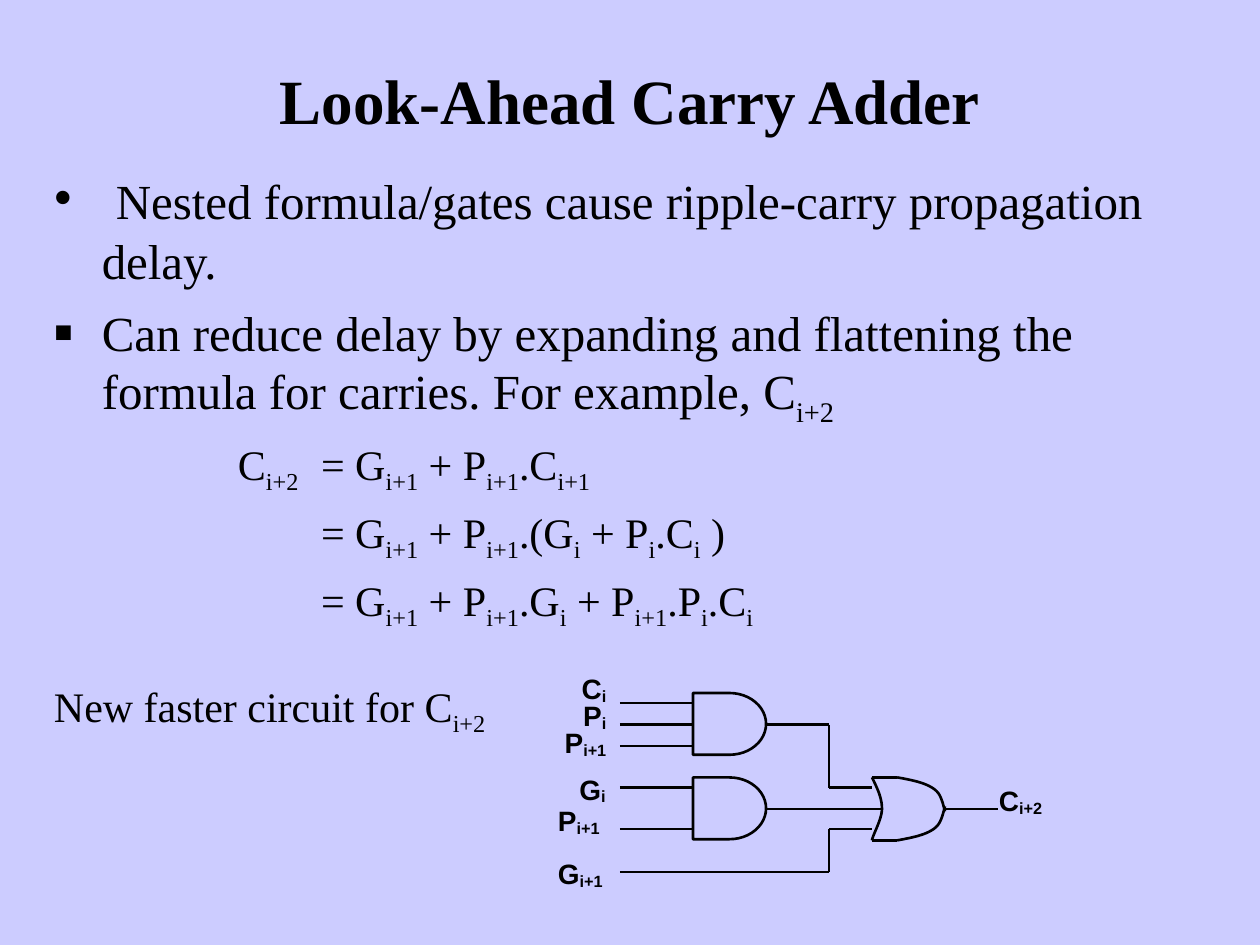
"""Build the look-ahead carry adder slide with its formulas and gate circuit."""
from dataclasses import dataclass

from lxml.etree import SubElement
from pptx import Presentation
from pptx.dml.color import RGBColor
from pptx.enum.shapes import MSO_CONNECTOR, MSO_SHAPE
from pptx.enum.text import MSO_ANCHOR, MSO_AUTO_SIZE, PP_ALIGN
from pptx.oxml.ns import qn
from pptx.util import Inches, Pt

COLORS = {"background": "CCCCFF", "ink": "000000"}
SERIF = "Times New Roman"
LABEL_FONT = {"name": "Arial", "size": Pt(16), "bold": True}
GATE_LINE, WIRE_LINE = 1.5, 1.25
GATE_W, GATE_H = 0.58, 0.49
OR_MID = 6.42


@dataclass(frozen=True)
class Line:
    text: str
    size: int
    before: int
    margin: float = 0.38
    indent: float = -0.38
    bullet: str = ""
    bullet_size: int = 100


@dataclass(frozen=True)
class Label:
    lines: tuple[str, ...]
    box: tuple[float, float, float, float]
    align: PP_ALIGN = PP_ALIGN.LEFT
    spacing: float = 1.0


@dataclass(frozen=True)
class Wire:
    x1: float
    y1: float
    x2: float
    y2: float
    width: float = WIRE_LINE


BODY = [
    Line("Nested formula/gates cause ripple-carry propagation delay.", 28, 0, bullet="•"),
    Line("Can reduce delay by expanding and flattening the formula for carries. "
         "For example, C_{i+2}", 28, 7, bullet="▪", bullet_size=120),
    Line("C_{i+2}\t= G_{i+1} + P_{i+1}.C_{i+1}", 24, 6, 2.12, -0.66),
    Line("= G_{i+1} + P_{i+1}.(G_{i} + P_{i}.C_{i} )", 24, 6, 2.12, 0),
    Line("= G_{i+1} + P_{i+1}.G_{i} + P_{i+1}.P_{i}.C_{i}", 24, 6, 2.12, 0),
    Line("New faster circuit for C_{i+2}", 24, 28),
]

LABELS = [
    Label(("C_{i}", "P_{i}", "P_{i+1}"), (4.33, 5.33, 0.58, 0.75), PP_ALIGN.RIGHT, 0.8),
    Label(("G_{i}",), (4.5, 6.08, 0.42, 0.3)),
    Label(("P_{i+1}",), (4.33, 6.33, 0.58, 0.37)),
    Label(("G_{i+1}",), (4.33, 6.75, 0.67, 0.3)),
    Label(("C_{i+2}",), (7.83, 6.17, 0.68, 0.39)),
]

AND_GATES = [(5.5, 5.5), (5.5, 6.17)]
INPUT_WIRES = [Wire(4.92, y, 5.5, y) for y in (5.58, 5.75, 5.92, 6.25, 6.58)]
WIRES = INPUT_WIRES + [
    Wire(6.08, 5.75, 6.58, 5.75),
    Wire(6.58, 5.75, 6.58, 6.25),
    Wire(6.58, 6.25, 6.92, 6.25),
    Wire(6.08, OR_MID, 7, OR_MID),
    Wire(4.92, 6.92, 6.58, 6.92),
    Wire(6.58, 6.58, 6.58, 6.92),
    Wire(6.58, 6.58, 6.92, 6.58),
    Wire(7.5, OR_MID, 7.92, OR_MID),
    Wire(6.92, 6.17, 7.12, 6.17, GATE_LINE),
    Wire(6.92, 6.67, 7.12, 6.67, GATE_LINE),
]

OR_BACK = [(6.92, 6.17), (6.96, 6.25), (7, 6.33), (7, 6.42),
           (7, 6.5), (6.93, 6.62), (6.92, 6.67)]
OR_TOP = [(7.12, 6.17), (7.23, 6.19), (7.34, 6.21), (7.41, 6.26),
          (7.47, 6.3), (7.48, 6.37), (7.5, 6.44)]
OR_BOTTOM = [(x, 2 * OR_MID - y) for x, y in OR_TOP]


def set_font(font, values: dict) -> None:
    for name, value in values.items():
        setattr(font, name, value)
    font.color.rgb = RGBColor.from_string(COLORS["ink"])


def add_runs(p, text: str, values: dict, drop: int) -> None:
    for part in text.split("_{"):
        sub, closed, rest = part.partition("}")
        pieces = [(sub, drop), (rest, 0)] if closed else [(part, 0)]
        for piece, baseline in pieces:
            if piece:
                r = p.add_run()
                r.text = piece
                set_font(r.font, values)
                if baseline:
                    r.font._element.set("baseline", str(baseline * 1000))


def add_body(slide, lines: list[Line]) -> None:
    sp = slide.shapes.add_textbox(Inches(0.33), Inches(1.25), Inches(9.33), Inches(6.08))
    tf = sp.text_frame
    tf.word_wrap = True
    for i, line in enumerate(lines):
        p = tf.add_paragraph() if i else tf.paragraphs[0]
        ppr = p._p.get_or_add_pPr()
        ppr.set("marL", str(Inches(line.margin)))
        ppr.set("indent", str(Inches(line.indent)))
        p.space_before = Pt(line.before)
        if line.bullet:
            clr = SubElement(ppr, qn("a:buClr"))
            SubElement(clr, qn("a:srgbClr"), val=COLORS["ink"])
            SubElement(ppr, qn("a:buSzPct"), val=str(line.bullet_size * 1000))
            SubElement(ppr, qn("a:buFont"), typeface=SERIF)
            SubElement(ppr, qn("a:buChar"), char=line.bullet)
        if i == 0:
            add_runs(p, " ", {"name": SERIF, "size": Pt(32)}, -25)
        add_runs(p, line.text, {"name": SERIF, "size": Pt(line.size)}, -25)


def add_label(slide, label: Label) -> None:
    tf = slide.shapes.add_textbox(*map(Inches, label.box)).text_frame
    tf.word_wrap = True
    for i, text in enumerate(label.lines):
        p = tf.add_paragraph() if i else tf.paragraphs[0]
        p.alignment = label.align
        p.line_spacing = label.spacing
        add_runs(p, text, LABEL_FONT, -10)


def set_line(line, width: float) -> None:
    line.color.rgb = RGBColor.from_string(COLORS["ink"])
    line.width = Pt(width)


def add_wire(slide, wire: Wire) -> None:
    ends = map(Inches, (wire.x1, wire.y1, wire.x2, wire.y2))
    cxn = slide.shapes.add_connector(MSO_CONNECTOR.STRAIGHT, *ends)
    set_line(cxn.line, wire.width)
    SubElement(cxn._element.spPr, qn("a:effectLst"))


def outline(sp) -> None:
    sp.fill.background()
    set_line(sp.line, GATE_LINE)
    sp.shadow.inherit = False


def add_and_gate(slide, x: float, y: float) -> None:
    box = map(Inches, (x, y, GATE_W, GATE_H))
    outline(slide.shapes.add_shape(MSO_SHAPE.FLOWCHART_DELAY, *box))


def add_curve(slide, points: list[tuple[float, float]], steps: int = 12) -> None:
    path_points = []
    for start in range(0, len(points) - 1, 3):
        controls = points[start:start + 4]
        for k in range(1, steps + 1):
            t = k / steps
            weights = ((1 - t) ** 3, 3 * t * (1 - t) ** 2, 3 * t * t * (1 - t), t ** 3)
            path_points.append(tuple(
                Inches(sum(w * c[axis] for w, c in zip(weights, controls)))
                for axis in (0, 1)))
    builder = slide.shapes.build_freeform(*map(Inches, points[0]))
    builder.add_line_segments(path_points, close=False)
    outline(builder.convert_to_shape())


def add_title(slide, text: str) -> None:
    sp = slide.shapes.title
    sp.left, sp.top, sp.width, sp.height = map(Inches, (0.75, 0.25, 8.5, 1.08))
    tf = sp.text_frame
    tf.auto_size = MSO_AUTO_SIZE.NONE
    tf.vertical_anchor = MSO_ANCHOR.MIDDLE
    p = tf.paragraphs[0]
    p.alignment = PP_ALIGN.CENTER
    add_runs(p, text, {"name": SERIF, "size": Pt(36), "bold": True}, 0)


def main() -> None:
    prs = Presentation()
    prs.slide_width, prs.slide_height = Inches(10), Inches(7.5)
    slide = prs.slides.add_slide(prs.slide_layouts[5])
    fill = slide.background.fill
    fill.solid()
    fill.fore_color.rgb = RGBColor.from_string(COLORS["background"])
    add_title(slide, "Look-Ahead Carry Adder")
    add_body(slide, BODY)
    for gate in AND_GATES:
        add_and_gate(slide, *gate)
    for wire in WIRES:
        add_wire(slide, wire)
    for curve in (OR_BACK, OR_TOP, OR_BOTTOM):
        add_curve(slide, curve)
    for label in LABELS:
        add_label(slide, label)
    prs.save("out.pptx")


if __name__ == "__main__":
    main()
